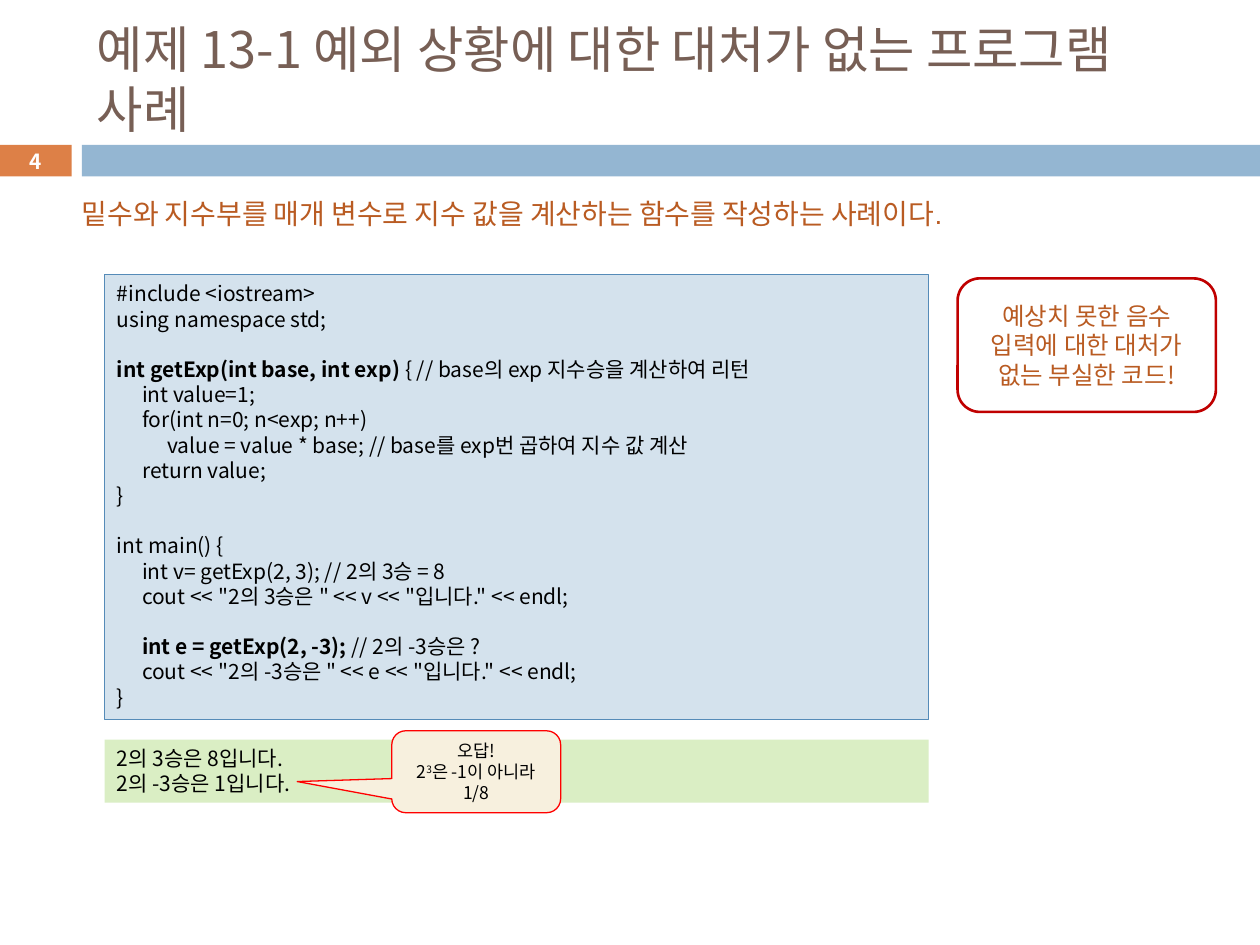
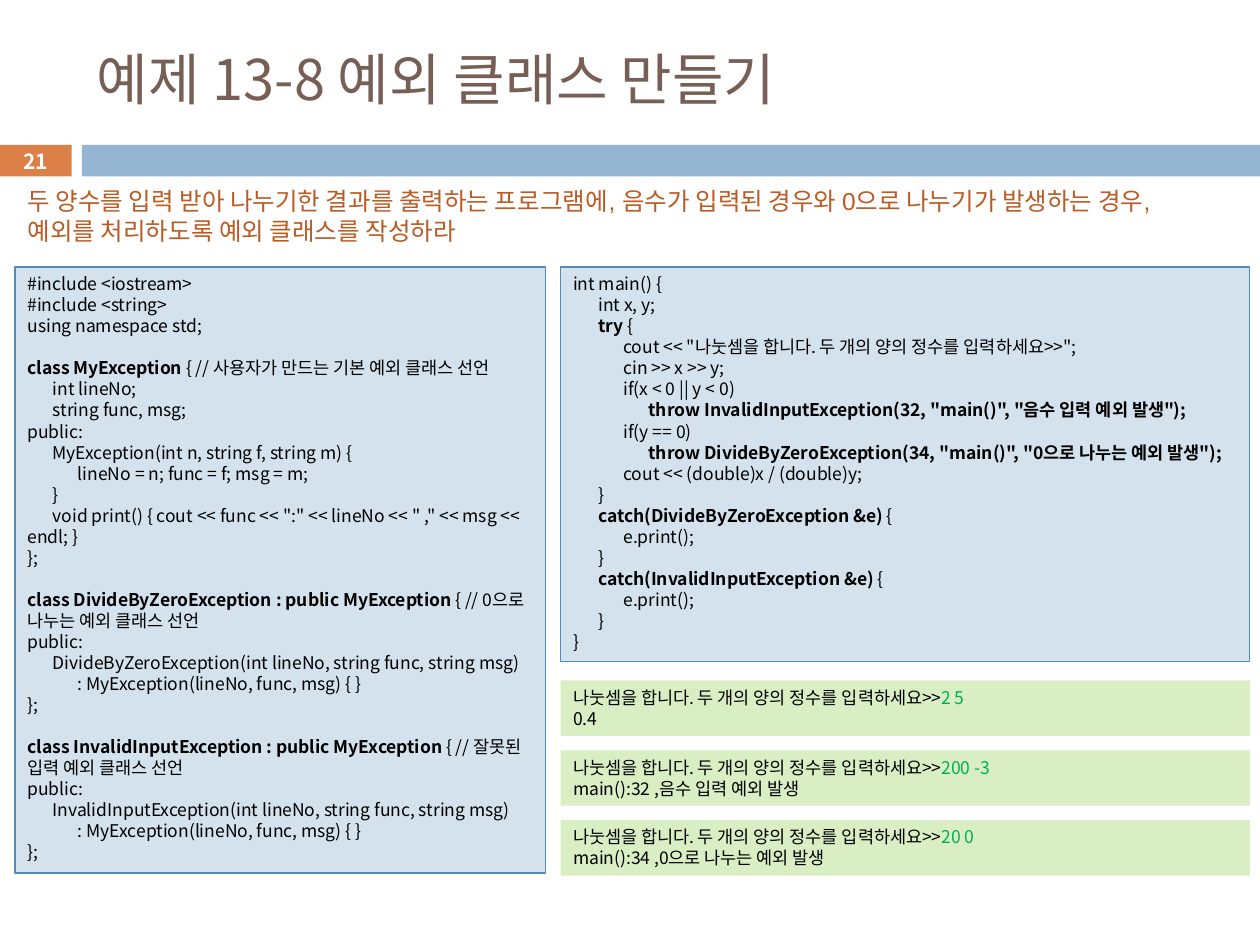
from lxml import etree
from pptx import Presentation
from pptx import util as u
from pptx.dml.color import RGBColor
from pptx.enum import shapes, text
from pptx.oxml import ns

FONT = "Noto Sans CJK KR"
BLACK = RGBColor(0, 0, 0)
WHITE = RGBColor(0xFF, 0xFF, 0xFF)
ORANGE = RGBColor(0xDD, 0x80, 0x47)
BLUE = RGBColor(0x94, 0xB6, 0xD2)
BROWN = RGBColor(0x77, 0x5F, 0x55)
RUST = RGBColor(0xB9, 0x5B, 0x22)
CODE_FILL = RGBColor(0xD4, 0xE2, 0xED)
CODE_LINE = RGBColor(0x55, 0x8B, 0xB8)
OUTPUT_FILL = RGBColor(0xDA, 0xEE, 0xC4)
INPUT_GREEN = RGBColor(0x00, 0xB0, 0x50)
NOTE_FILL = RGBColor(0xF7, 0xF0, 0xDE)
RED = RGBColor(0xFF, 0, 0)
DARK_RED = RGBColor(0xC0, 0, 0)

TAB = 0.2
TOP = text.MSO_ANCHOR.TOP
MIDDLE = text.MSO_ANCHOR.MIDDLE
LEFT = text.PP_ALIGN.LEFT
CENTER = text.PP_ALIGN.CENTER

POWER_CODE = """#include <iostream>
using namespace std;

**int getExp(int base, int exp) **{ // base의 exp 지수승을 계산하여 리턴
    int value=1;
    for(int n=0; n<exp; n++)
        value = value * base; // base를 exp번 곱하여 지수 값 계산
    return value;
}

int main() {
    int v= getExp(2, 3); // 2의 3승 = 8
    cout << "2의 3승은 " << v << "입니다." << endl;

    **int e = getExp(2, -3); **// 2의 -3승은 ?
    cout << "2의 -3승은 " << e << "입니다." << endl;
}"""

CLASS_CODE = """#include <iostream>
#include <string>
using namespace std;

**class MyException **{ // 사용자가 만드는 기본 예외 클래스 선언
    int lineNo;
    string func, msg;
public:
    MyException(int n, string f, string m) {
        lineNo = n; func = f; msg = m;
    }
    void print() { cout << func << ":" << lineNo << " ," << msg << endl; }
};

**class DivideByZeroException : public MyException **{ // 0으로 나누는 예외 클래스 선언
public:
    DivideByZeroException(int lineNo, string func, string msg)
        : MyException(lineNo, func, msg) { }
};

**class InvalidInputException : public MyException **{ // 잘못된 입력 예외 클래스 선언
public:
    InvalidInputException(int lineNo, string func, string msg)
        : MyException(lineNo, func, msg) { }
};"""

MAIN_CODE = """int main() {
    int x, y;
    **try** {
        cout << "나눗셈을 합니다. 두 개의 양의 정수를 입력하세요>>";
        cin >> x >> y;
        if(x < 0 || y < 0)
            **throw InvalidInputException(32, "main()", "음수 입력 예외 발생");**
        if(y == 0)
            **throw DivideByZeroException(34, "main()", "0으로 나누는 예외 발생");**
        cout << (double)x / (double)y;
    }
    **catch(DivideByZeroException &e)** {
        e.print();
    }
    **catch(InvalidInputException &e)** {
        e.print();
    }
}"""

PROMPT = "나눗셈을 합니다. 두 개의 양의 정수를 입력하세요>>"
DIVISIONS = [
    ("2 5", "0.4"),
    ("200 -3", "main():32 ,음수 입력 예외 발생"),
    ("20 0", "main():34 ,0으로 나누는 예외 발생"),
]


def add_run(p, content, size, color=BLACK, bold=False, font=FONT, baseline=None):
    r = p.add_run()
    r.text = content
    for name, value in {"size": u.Pt(size), "bold": bold, "name": font}.items():
        setattr(r.font, name, value)
    r.font.color.rgb = color
    rpr = r._r.get_or_add_rPr()
    etree.SubElement(rpr, ns.qn("a:ea"), typeface=FONT)
    if baseline:
        rpr.set("baseline", str(baseline))


def write(sp, lines, anchor=TOP, align=LEFT, **style):
    """Fill a shape; each line is a list of (text, run format) pairs."""
    tf = sp.text_frame
    frame_format = {"word_wrap": True, "vertical_anchor": anchor,
                    "auto_size": text.MSO_AUTO_SIZE.NONE}
    for name, value in frame_format.items():
        setattr(tf, name, value)
    for i, line in enumerate(lines):
        p = tf.add_paragraph() if i else tf.paragraphs[0]
        p.alignment = align
        for content, run_format in line:
            add_run(p, content, **{**style, **run_format})
    return tf


def add_box(s, box, kind=shapes.MSO_SHAPE.RECTANGLE, fill=None, line=None, width=0.75):
    sp = s.shapes.add_shape(kind, *map(u.Inches, box))
    sp.shadow.inherit = False
    if fill is None:
        sp.fill.background()
    else:
        sp.fill.solid()
        sp.fill.fore_color.rgb = fill
    if line is None:
        sp.line.fill.background()
    else:
        sp.line.color.rgb = line
        sp.line.width = u.Pt(width)
    return sp


def add_text(s, box, content, **style):
    sp = s.shapes.add_textbox(*map(u.Inches, box))
    write(sp, [[(content, {})]], **style)


def set_tabs(p, count=3):
    tabs = etree.SubElement(p._p.get_or_add_pPr(), ns.qn("a:tabLst"))
    for n in range(1, count + 1):
        etree.SubElement(tabs, ns.qn("a:tab"), pos=str(u.Inches(n * TAB)), algn="l")


def add_code(s, box, code, size):
    """Code panel: ** marks bold, four spaces are a tab, an empty line is a gap."""
    lines, after_gap = [], set()
    for row in code.splitlines():
        if not row:
            after_gap.add(len(lines))
            continue
        parts = row.replace("    ", "\t").split("**")
        lines.append([(part, {"bold": i % 2 == 1})
                      for i, part in enumerate(parts) if part])
    sp = add_box(s, box, fill=CODE_FILL, line=CODE_LINE)
    tf = write(sp, lines, size=size)
    for i, p in enumerate(tf.paragraphs):
        if i in after_gap:
            p.space_before = u.Pt(1.2 * size)
        set_tabs(p)


def add_output(s, box, lines, size):
    write(add_box(s, box, fill=OUTPUT_FILL), lines, size=size)


def add_base(prs, title, title_size, number):
    """New slide with the title, the number tab and the band."""
    s = prs.slides.add_slide(prs.slide_layouts[6])
    tab = add_box(s, (0, 1.15, 0.57, 0.25), fill=ORANGE)
    add_box(s, (0.65, 1.15, 9.35, 0.25), fill=BLUE)
    tab.text_frame.margin_top = tab.text_frame.margin_bottom = 0
    write(tab, [[(str(number), {})]], MIDDLE, CENTER, size=11.9, color=WHITE, bold=True)
    add_text(s, (0.67, 0.25, 8.92, 0.74), title, anchor=MIDDLE,
             size=title_size, color=BROWN)
    return s


def add_task(s, box, content, size):
    add_text(s, box, content, size=size, color=RUST, font="Arial")


def build_power_slide(prs):
    s = add_base(prs, "예제 13-1 예외 상황에 대한 대처가 없는 프로그램 사례", 28.8, 4)
    add_output(s, (0.83, 5.87, 6.54, 0.5),
               [[("2의 3승은 8입니다.", {})], [("2의 -3승은 1입니다.", {})]], 12)
    add_code(s, (0.83, 2.18, 6.54, 3.53), POWER_CODE, 12)

    callout = add_box(s, (3.11, 5.8, 1.34, 0.65),
                      shapes.MSO_SHAPE.ROUNDED_RECTANGULAR_CALLOUT, NOTE_FILL, RED)
    for i, value in enumerate((-1.06, 0.12, 0.17)):
        callout.adjustments[i] = value
    write(callout, [[("오답!", {})],
                    [("2", {}), ("3", {"baseline": 30000}), ("은 -1이 아니라 1/8", {})]],
          MIDDLE, CENTER, size=10)

    warning = add_box(s, (7.6, 2.21, 2.05, 1.06), shapes.MSO_SHAPE.ROUNDED_RECTANGLE,
                      line=DARK_RED, width=1.5)
    write(warning, [[("예상치 못한 음수 입력에 대한 대처가 없는 부실한 코드!", {})]],
          MIDDLE, CENTER, size=14, color=RUST)
    add_task(s, (0.55, 1.51, 8.82, 0.37),
             "밑수와 지수부를 매개 변수로 지수 값을 계산하는 함수를 작성하는 사례이다.", 16)


def build_class_slide(prs):
    s = add_base(prs, "예제 13-8 예외 클래스 만들기", 32, 21)
    add_code(s, (4.45, 2.12, 5.47, 3.13), MAIN_CODE, 10)
    add_code(s, (0.12, 2.12, 4.21, 4.81), CLASS_CODE, 10)
    for i, (numbers, result) in enumerate(DIVISIONS):
        add_output(s, (4.45, 5.4 + i * 0.555, 5.47, 0.44),
                   [[(PROMPT, {}), (numbers, {"color": INPUT_GREEN})], [(result, {})]], 10)
    add_task(s, (0.12, 1.43, 9.69, 0.57),
             "두 양수를 입력 받아 나누기한 결과를 출력하는 프로그램에, 음수가 입력된 경우와 "
             "0으로 나누기가 발생하는 경우, 예외를 처리하도록 예외 클래스를 작성하라", 14)


def main():
    prs = Presentation()
    prs.slide_width, prs.slide_height = u.Inches(10), u.Inches(7.5)
    build_power_slide(prs)
    build_class_slide(prs)
    prs.save("out.pptx")


if __name__ == "__main__":
    main()
